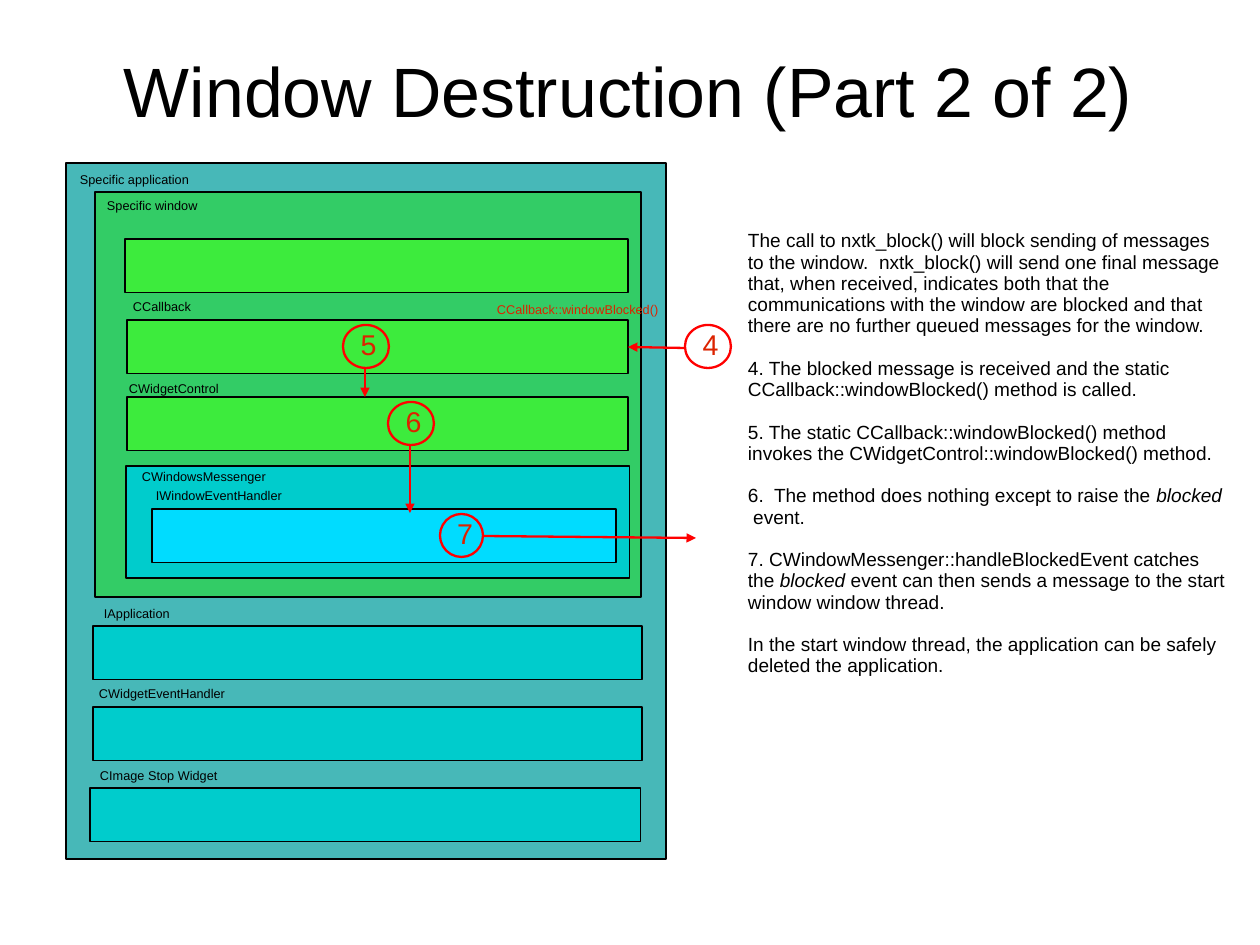
from dataclasses import dataclass

from lxml import etree
from pptx import Presentation
from pptx.dml.color import RGBColor
from pptx.enum.shapes import MSO_CONNECTOR, MSO_SHAPE
from pptx.enum.text import MSO_ANCHOR, PP_ALIGN
from pptx.oxml.ns import qn
from pptx.util import Pt

RECTANGLE, OVAL = MSO_SHAPE.RECTANGLE, MSO_SHAPE.OVAL
STRAIGHT = MSO_CONNECTOR.STRAIGHT
TOP, MIDDLE = MSO_ANCHOR.TOP, MSO_ANCHOR.MIDDLE
LEFT, CENTER = PP_ALIGN.LEFT, PP_ALIGN.CENTER
RIGHT_SIDE = 3


@dataclass(frozen=True)
class Theme:
    font: str = "Arial"
    black: str = "000000"
    red_line: str = "FF0000"
    red_text: str = "DC2300"
    teal: str = "47B8B8"
    green: str = "33CC66"
    lime: str = "3DEB3D"
    cyan: str = "00CCCC"
    sky: str = "00DCFF"
    title_size: float = 44
    step_size: float = 18
    note_size: float = 12
    label_size: float = 8
    line_spacing: float = 0.93
    note_gap: float = 13.4
    box_line: float = 0.75
    step_line: float = 1.45


THEME = Theme()

# Content, in px
EMU_PER_PX = 8000
SLIDE_SIZE = (1260, 945)
BAR = 54  # height of every class bar
TITLE = ("Window Destruction (Part 2 of 2)", (63, 38, 1132, 112))

# name: (left, top, width, height, fill), from back to front
BOXES = {
    "application": (66, 163, 600, 696, THEME.teal),
    "window": (95, 192, 546, 405, THEME.green),
    "window bar": (125, 239, 503, BAR, THEME.lime),
    "callback": (127, 320, 501, BAR, THEME.lime),
    "widget control": (127, 397, 501, BAR, THEME.lime),
    "messenger": (126, 466, 504, 112, THEME.cyan),
    "window events": (152, 509, 464, BAR, THEME.sky),
    "app interface": (93, 626, 549, BAR, THEME.cyan),
    "widget events": (93, 707, 549, BAR, THEME.cyan),
    "stop widget": (90, 788, 551, BAR, THEME.cyan),
}

# (text, left, top, width, colour)
LABEL_HEIGHT = 25
LABELS = [
    ("Specific application", 69, 167, 133, THEME.black),
    ("Specific window", 96, 193, 113, THEME.black),
    ("CCallback", 122, 294, 81, THEME.black),
    ("CCallback::windowBlocked()", 486, 297, 184, THEME.red_text),
    ("CWidgetControl", 118, 376, 113, THEME.black),
    ("CWindowsMessenger", 131, 464, 140, THEME.black),
    ("IWindowEventHandler", 145, 483, 142, THEME.black),
    ("IApplication", 93, 601, 82, THEME.black),
    ("CWidgetEventHandler", 88, 681, 149, THEME.black),
    ("CImage Stop Widget", 89, 763, 141, THEME.black),
]

# (number, left, top, width)
STEP_HEIGHT = 43
STEPS = [("4", 685, 325, 46), ("5", 343, 325, 46),
         ("6", 388, 402, 46), ("7", 440, 514, 43)]

# (from x, from y, to x, to y, box joined at its right side)
ARROWS = [
    (685, 348, 628, 347, "callback"),
    (365, 369, 365, 397, None),
    (410, 445, 410, 513, None),
    (483, 536, 696, 538, None),
]

# Each paragraph is a list of (text, italic)
NOTES_AREA = (737, 225, 500, 414)
NOTES = [
    [("The call to nxtk_block() will block sending of messages to the window.  "
      "nxtk_block() will send one final message that, when received, indicates "
      "both that the communications with the window are blocked and that there "
      "are no further queued messages for the window.", False)],
    [("4. The blocked message is received and the static "
      "CCallback::windowBlocked() method is called.", False)],
    [("5. The static CCallback::windowBlocked() method invokes the "
      "CWidgetControl::windowBlocked() method.", False)],
    [("6.  The method does nothing except to raise the ", False),
     ("blocked", True), ("  event.", False)],
    [("7. CWindowMessenger::handleBlockedEvent catches the ", False),
     ("blocked", True),
     (" event can then sends a message to the start window window thread.", False)],
    [("In the start window thread, the application can be safely deleted "
      "the application.", False)],
]


def emu(*lengths):
    return [length * EMU_PER_PX for length in lengths]


def write(shape, paragraphs, size, color, align=LEFT, anchor=TOP,
          wrap=False, insets=(11, 6, 11, 6), gap=0):
    frame = shape.text_frame
    frame.word_wrap = wrap
    frame.vertical_anchor = anchor
    (frame.margin_left, frame.margin_top,
     frame.margin_right, frame.margin_bottom) = emu(*insets)
    for index, runs in enumerate(paragraphs):
        para = frame.add_paragraph() if index else frame.paragraphs[0]
        para.alignment = align
        para.line_spacing = THEME.line_spacing
        if index and gap:
            para.space_before = Pt(gap)
        for text, italic in runs:
            span = para.add_run()
            span.text = text
            span.font.name = THEME.font
            span.font.size = Pt(size)
            span.font.italic = italic
            span.font.color.rgb = RGBColor.from_string(color)


def add_text(page, area, paragraphs, size, color, **options):
    write(page.shapes.add_textbox(*emu(*area)), paragraphs, size, color, **options)


def add_outline(page, kind, area, line_color, line_width, fill=None):
    shape = page.shapes.add_shape(kind, *emu(*area))
    shape.shadow.inherit = False
    if fill:
        shape.fill.solid()
        shape.fill.fore_color.rgb = RGBColor.from_string(fill)
    else:
        shape.fill.background()
    shape.line.color.rgb = RGBColor.from_string(line_color)
    shape.line.width = Pt(line_width)
    return shape


def add_arrow(page, points, target):
    arrow = page.shapes.add_connector(STRAIGHT, *emu(*points))
    arrow.line.color.rgb = RGBColor.from_string(THEME.red_line)
    arrow.line.width = Pt(THEME.step_line)
    head = etree.SubElement(arrow.line._get_or_add_ln(), qn("a:tailEnd"))
    head.set("type", "triangle")
    etree.SubElement(arrow._element.spPr, qn("a:effectLst"))
    if target is not None:
        arrow.end_connect(target, RIGHT_SIDE)


def main():
    deck = Presentation()
    deck.slide_width, deck.slide_height = emu(*SLIDE_SIZE)
    page = deck.slides.add_slide(deck.slide_layouts[6])

    # Title
    title, area = TITLE
    add_text(page, area, [[(title, False)]], THEME.title_size, THEME.black,
             align=CENTER, anchor=MIDDLE, wrap=True, insets=(0, 0, 0, 0))

    # Nested class boxes and their labels
    boxes = {}
    for name, (*area, fill) in BOXES.items():
        boxes[name] = add_outline(page, RECTANGLE, area, THEME.black,
                                  THEME.box_line, fill)
    for text, left, top, width, color in LABELS:
        add_text(page, (left, top, width, LABEL_HEIGHT), [[(text, False)]],
                 THEME.label_size, color, insets=(11, 6, 0, 6))

    # Numbered steps and arrows
    for number, left, top, width in STEPS:
        circle = add_outline(page, OVAL, (left, top, width, STEP_HEIGHT),
                             THEME.red_line, THEME.step_line)
        write(circle, [[(number, False)]], THEME.step_size, THEME.red_text,
              anchor=MIDDLE)
    for *points, target in ARROWS:
        add_arrow(page, points, boxes.get(target))

    # Explanation
    add_text(page, NOTES_AREA, NOTES, THEME.note_size, THEME.black,
             wrap=True, gap=THEME.note_gap)

    deck.save("out.pptx")


if __name__ == "__main__":
    main()
